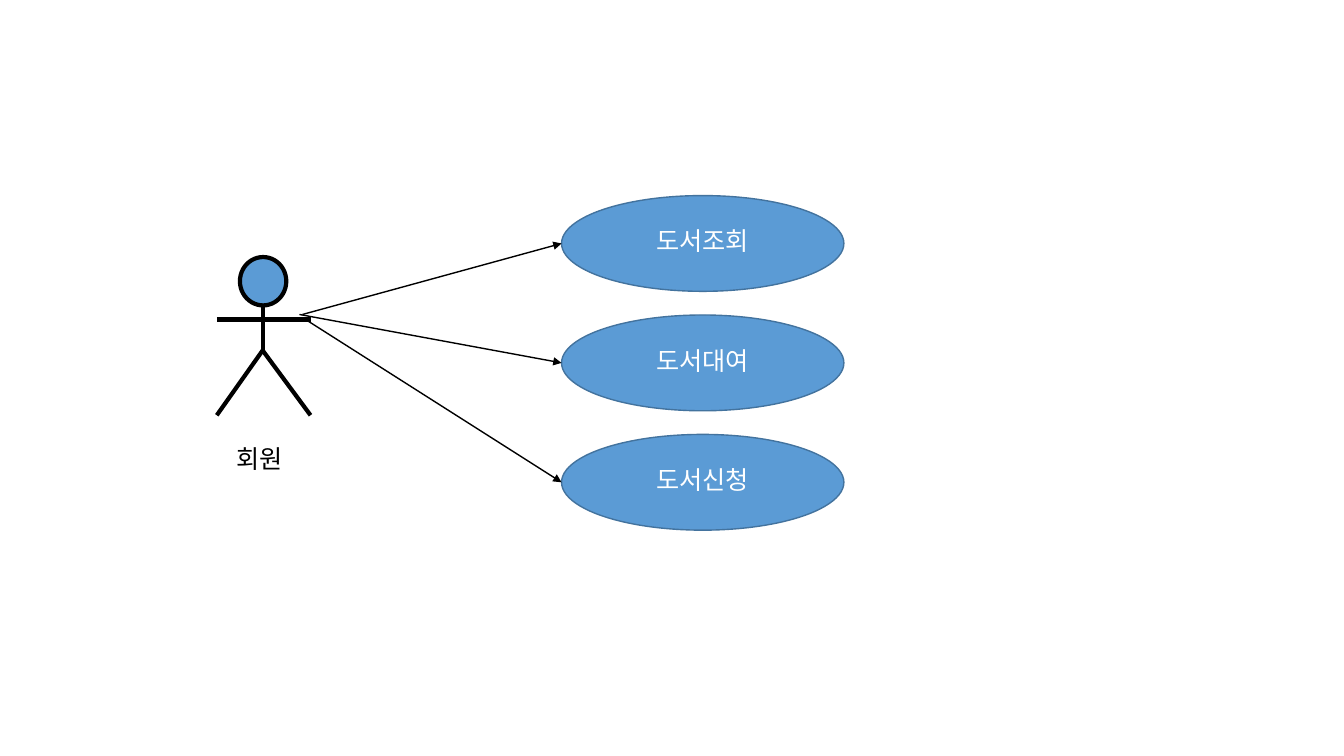
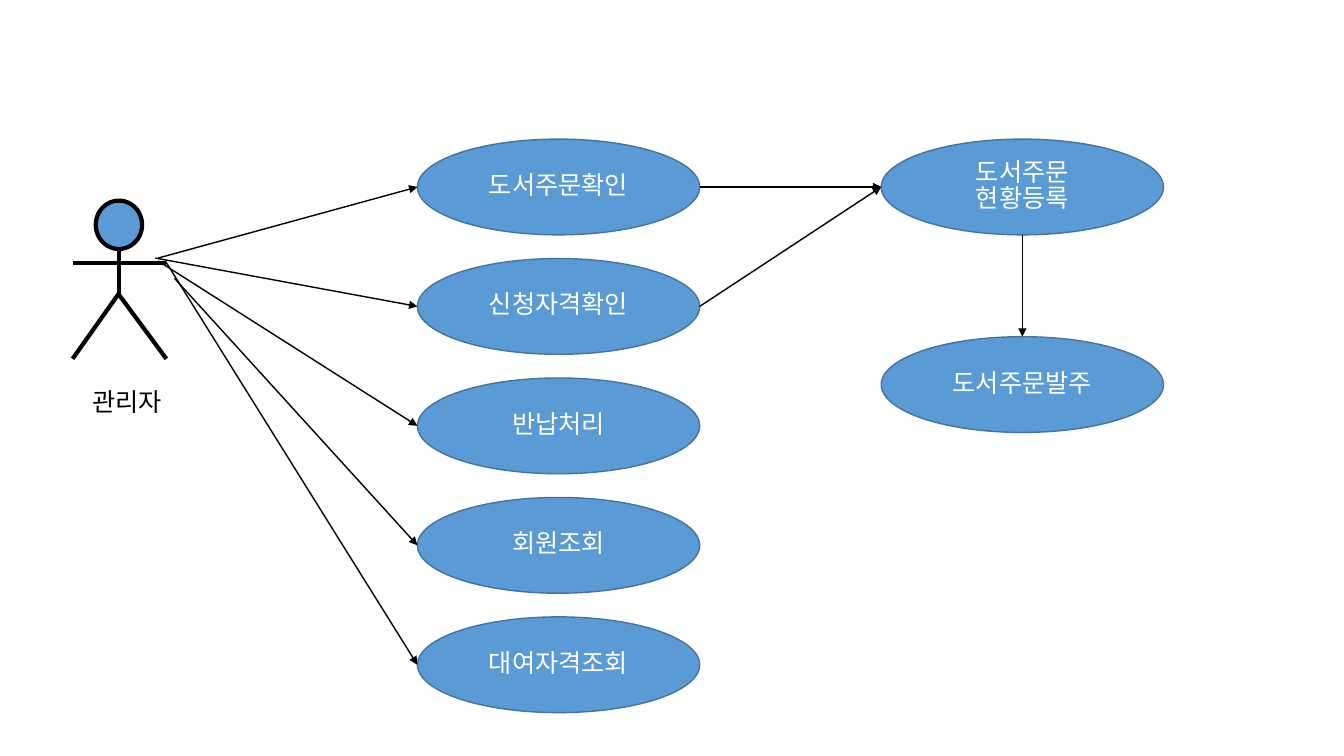
from lxml.etree import SubElement
from pptx import Presentation
from pptx.dml.color import RGBColor
from pptx.enum.shapes import MSO_CONNECTOR, MSO_SHAPE
from pptx.enum.text import MSO_ANCHOR, PP_ALIGN
from pptx.oxml.ns import qn
from pptx.util import Inches, Pt

# Content: positions are inches; hands are arrow starts measured from the actor
HANDS = [(0.85, 0.57), (0.82, 0.57), (0.85, 0.60), (1.01, 0.77), (0.92, 0.60)]
SLIDES = [
    {
        "actor": ("회원", 2.15, 2.55, 0.71),
        "cases": ["도서조회", "도서대여", "도서신청"],
        "follow_ups": [],
        "links": [],
    },
    {
        "actor": ("관리자", 0.72, 1.99, 0.96),
        "cases": ["도서주문확인", "신청자격확인", "반납처리", "회원조회", "대여자격조회"],
        "follow_ups": ["도서주문\n현황등록", "도서주문발주"],
        "links": [
            ("도서주문확인", "right", "도서주문\n현황등록", "left"),
            ("신청자격확인", "right", "도서주문\n현황등록", "left"),
            ("도서주문\n현황등록", "bottom", "도서주문발주", "top"),
        ],
    },
]

# Shared style
COLORS = {"fill": "5B9BD5", "outline": "43739E", "ink": "000000", "paper": "FFFFFF"}
FONT, FONT_SIZE, LINE_SPACING = "Noto Sans CJK KR", 18, 0.83
SLIDE_WIDTH, SLIDE_HEIGHT = 13.33, 7.5
CASE_WIDTH, CASE_HEIGHT = 2.8, 0.95
CASE_OFFSET = (3.42, -0.61)
CASE_PITCH = SLIDE_HEIGHT * 0.158
FOLLOW_UP_SHIFT, FOLLOW_UP_PITCH = 4.6, 1.96
SIDES = {"top": 0, "left": 1, "bottom": 2, "right": 3}

# Stick figure, measured from its left end and the top of the head
HEAD = (0.23, 0, 0.46, 0.48)
LIMBS = [
    (0, 0.62, 0.93, 0.62),
    (0.46, 0.47, 0.46, 0.92),
    (0.45, 0.92, 0.93, 1.57),
    (0.46, 0.92, 0, 1.57),
]


def color(name):
    return RGBColor.from_string(COLORS[name])


def inches(*values):
    return [Inches(value) for value in values]


def write(shape, text, color_name, alignment):
    frame = shape.text_frame
    frame.vertical_anchor = MSO_ANCHOR.MIDDLE
    for index, line in enumerate(text.split("\n")):
        paragraph = frame.add_paragraph() if index else frame.paragraphs[0]
        paragraph.alignment = alignment
        paragraph.line_spacing = LINE_SPACING
        run = paragraph.add_run()
        run.text = line
        run.font.size = Pt(FONT_SIZE)
        run.font.name = FONT
        run.font.color.rgb = color(color_name)
        SubElement(run.font._element, qn("a:ea")).set("typeface", FONT)


def add_ellipse(shapes, box, outline, weight):
    ellipse = shapes.add_shape(MSO_SHAPE.OVAL, *inches(*box))
    ellipse.shadow.inherit = False
    ellipse.fill.solid()
    ellipse.fill.fore_color.rgb = color("fill")
    ellipse.line.color.rgb = color(outline)
    ellipse.line.width = Pt(weight)
    return ellipse


def add_line(shapes, points, weight):
    line = shapes.add_connector(MSO_CONNECTOR.STRAIGHT, *inches(*points))
    line.line.color.rgb = color("ink")
    line.line.width = Pt(weight)
    SubElement(line._element.spPr, qn("a:effectLst"))
    return line


def add_arrow(slide, start, end, end_side, start_side=None):
    """Start is a point, or an ellipse when start_side is given."""
    points = (0, 0) if start_side else start
    arrow = add_line(slide.shapes, (*points, *points), 1)
    SubElement(arrow.line._get_or_add_ln(), qn("a:tailEnd")).set("type", "triangle")
    arrow.end_connect(end, SIDES[end_side])
    if start_side:
        arrow.begin_connect(start, SIDES[start_side])
    # An ellipse has eight connection sites, so its sides are every second one
    for site in arrow._element.xpath(".//a:stCxn | .//a:endCxn"):
        site.set("idx", str(int(site.get("idx")) * 2))


def add_actor(slide, name, left, top, label_width):
    figure = slide.shapes.add_group_shape()
    x, y, width, height = HEAD
    add_ellipse(figure.shapes, (left + x, top + y, width, height), "ink", 3)
    for x1, y1, x2, y2 in LIMBS:
        add_line(figure.shapes, (left + x1, top + y1, left + x2, top + y2), 3)
    label = slide.shapes.add_textbox(*inches(left + 0.1, top + 1.82, label_width, 0.4))
    label.text_frame.word_wrap = False
    write(label, name, "ink", PP_ALIGN.LEFT)


def add_cases(slide, names, left, top, pitch):
    cases = {}
    for row, name in enumerate(names):
        box = (left, top + row * pitch, CASE_WIDTH, CASE_HEIGHT)
        cases[name] = add_ellipse(slide.shapes, box, "outline", 1)
        write(cases[name], name, "paper", PP_ALIGN.CENTER)
    return cases


def build_slide(presentation, content):
    slide = presentation.slides.add_slide(presentation.slide_layouts[6])
    name, left, top, label_width = content["actor"]
    case_left, case_top = left + CASE_OFFSET[0], top + CASE_OFFSET[1]

    # Use cases and the actor
    cases = add_cases(slide, content["cases"], case_left, case_top, CASE_PITCH)
    follow_ups = add_cases(slide, content["follow_ups"], case_left + FOLLOW_UP_SHIFT,
                           case_top, FOLLOW_UP_PITCH)
    add_actor(slide, name, left, top, label_width)

    # Arrows from the actor, then between use cases
    for (x, y), case in zip(HANDS, cases.values()):
        add_arrow(slide, (left + x, top + y), case, "left")
    ellipses = {**cases, **follow_ups}
    for source, source_side, target, target_side in content["links"]:
        add_arrow(slide, ellipses[source], ellipses[target], target_side, source_side)


def main():
    presentation = Presentation()
    presentation.slide_width, presentation.slide_height = inches(SLIDE_WIDTH, SLIDE_HEIGHT)
    for content in SLIDES:
        build_slide(presentation, content)
    presentation.save("out.pptx")


if __name__ == "__main__":
    main()
